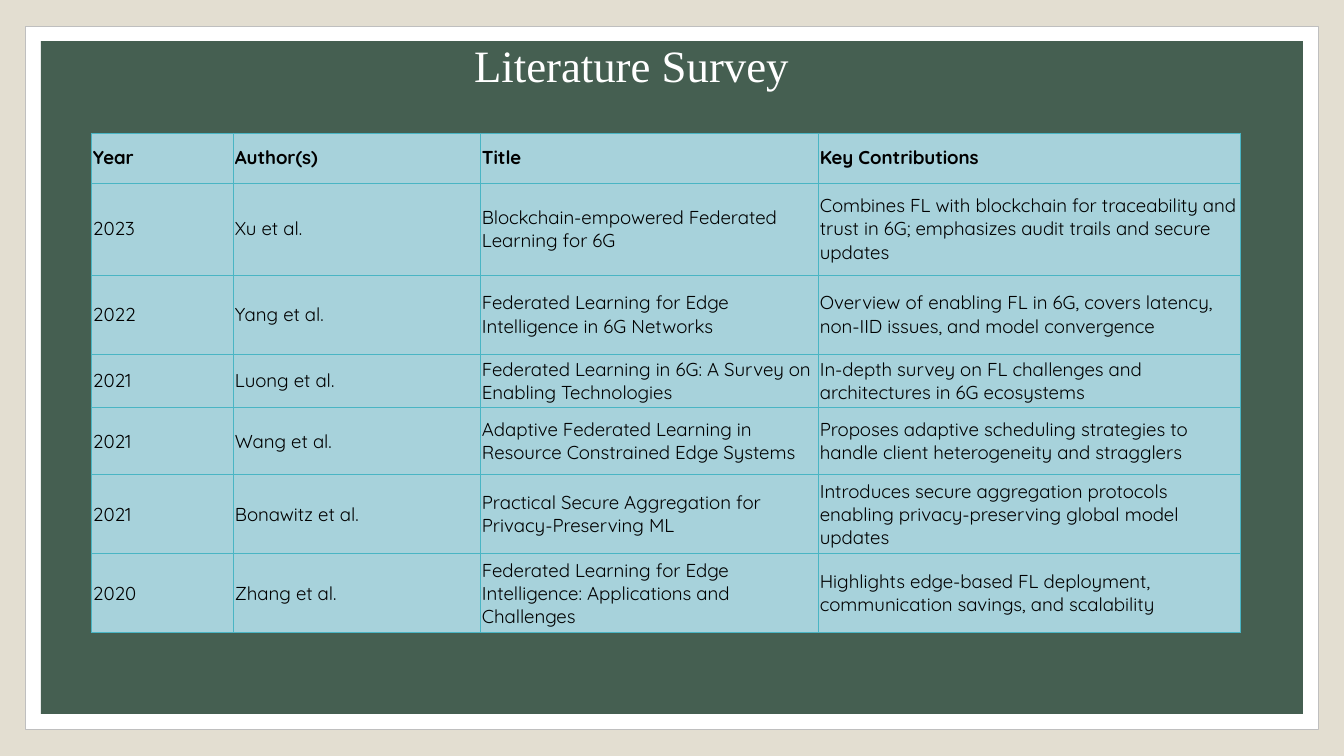
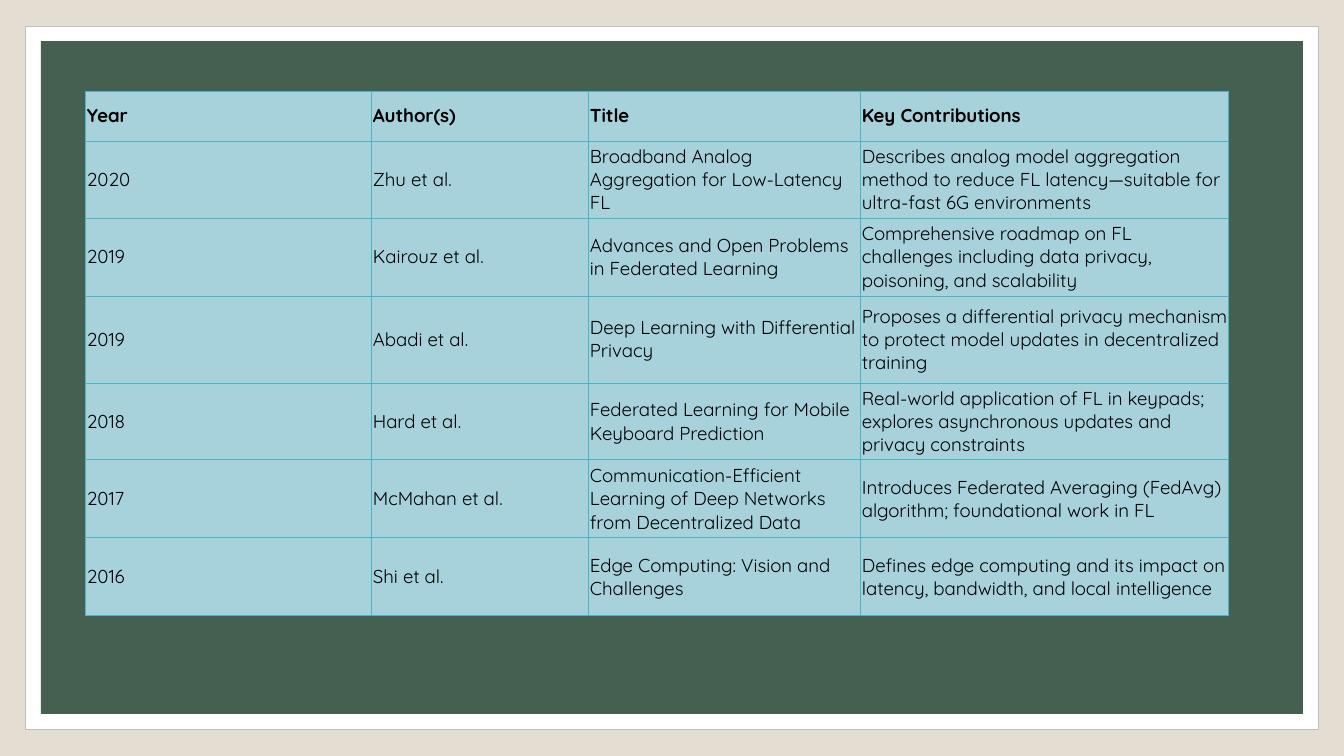
from lxml.etree import SubElement
from pptx import Presentation
from pptx.dml.color import RGBColor as RGB
from pptx.enum.shapes import MSO_SHAPE as SHAPE
from pptx.enum.text import MSO_ANCHOR as ANCHOR, PP_ALIGN as ALIGN
from pptx.oxml.ns import qn
from pptx.util import Pt

WIDTH, HEIGHT = 1344, 756
EMU_PER_PX = 9144000 / WIDTH

COLORS = {
    "backdrop": "E3DED1",
    "frame": "FFFFFF",
    "frame_line": "BFBFBF",
    "panel": "455F51",
    "title": "FFFFFF",
    "cell": "A7D2DB",
    "grid": "4AB5C4",
    "text": "000000",
}
TITLE_FONT, TABLE_FONT = "Times New Roman", "Quicksand"


def px(n):
    return round(n * EMU_PER_PX)


def color(name):
    return RGB.from_string(COLORS[name])


class Deck:
    """Holds the shared style and the current slide."""

    def __init__(self):
        self.prs = Presentation()
        self.prs.slide_width, self.prs.slide_height = px(WIDTH), px(HEIGHT)
        self.slide = None

    def new_slide(self):
        self.slide = self.prs.slides.add_slide(self.prs.slide_layouts[6])
        fill = self.slide.background.fill
        fill.solid()
        fill.fore_color.rgb = color("backdrop")
        self.rect(26, 27, 1293, 703, "frame", "frame_line")
        self.rect(41, 41, 1262, 673, "panel")

    def rect(self, x, y, w, h, fill, line=None):
        sp = self.slide.shapes.add_shape(SHAPE.RECTANGLE, px(x), px(y), px(w), px(h))
        sp.shadow.inherit = False
        sp.fill.solid()
        sp.fill.fore_color.rgb = color(fill)
        if line:
            sp.line.color.rgb = color(line)
            sp.line.width = Pt(0.5)
        else:
            sp.line.fill.background()

    def style(self, p, font, size, name, bold=False):
        for r in p.runs:
            r.font.name, r.font.size, r.font.bold = font, Pt(size), bold
            r.font.color.rgb = color(name)

    def title(self, text, x, y, w, h):
        tf = self.slide.shapes.add_textbox(px(x), px(y), px(w), px(h)).text_frame
        tf.word_wrap = True
        tf.vertical_anchor = ANCHOR.BOTTOM
        tf.margin_left = tf.margin_right = tf.margin_top = tf.margin_bottom = px(13)
        tf.text = text
        p = tf.paragraphs[0]
        p.alignment, p.line_spacing = ALIGN.CENTER, 0.9
        self.style(p, TITLE_FONT, 24, "title")

    def borders(self, cell):
        tcPr = cell._tc.get_or_add_tcPr()
        for side in ("a:lnL", "a:lnR", "a:lnT", "a:lnB"):
            ln = SubElement(tcPr, qn(side), w=str(Pt(0.5)))
            fill = SubElement(ln, qn("a:solidFill"))
            SubElement(fill, qn("a:srgbClr"), val=COLORS["grid"])

    def table(self, x, y, widths, heights, rows):
        tbl = self.slide.shapes.add_table(
            len(rows), len(widths), px(x), px(y), px(sum(widths)), px(sum(heights))
        ).table
        tbl.first_row = tbl.horz_banding = False
        for col, w in zip(tbl.columns, widths):
            col.width = px(w)
        for row, h in zip(tbl.rows, heights):
            row.height = px(h)
        for i, texts in enumerate(rows):
            for j, text in enumerate(texts):
                cell = tbl.cell(i, j)
                self.borders(cell)
                cell.fill.solid()
                cell.fill.fore_color.rgb = color("cell")
                cell.vertical_anchor = ANCHOR.MIDDLE
                cell.margin_left = cell.margin_right = px(2)
                cell.margin_top = cell.margin_bottom = px(1)
                cell.text_frame.text = text
                self.style(cell.text_frame.paragraphs[0], TABLE_FONT, 10, "text", bold=i == 0)


HEADER = ("Year", "Author(s)", "Title", "Key Contributions")

RECENT_PAPERS = [
    ("2023", "Xu et al.", "Blockchain-empowered Federated Learning for 6G",
     "Combines FL with blockchain for traceability and trust in 6G; "
     "emphasizes audit trails and secure updates"),
    ("2022", "Yang et al.", "Federated Learning for Edge Intelligence in 6G Networks",
     "Overview of enabling FL in 6G, covers latency, non-IID issues, and model convergence"),
    ("2021", "Luong et al.", "Federated Learning in 6G: A Survey on Enabling Technologies",
     "In-depth survey on FL challenges and architectures in 6G ecosystems"),
    ("2021", "Wang et al.", "Adaptive Federated Learning in Resource Constrained Edge Systems",
     "Proposes adaptive scheduling strategies to handle client heterogeneity and stragglers"),
    ("2021", "Bonawitz et al.", "Practical Secure Aggregation for Privacy-Preserving ML",
     "Introduces secure aggregation protocols enabling privacy-preserving global model updates"),
    ("2020", "Zhang et al.",
     "Federated Learning for Edge Intelligence: Applications and Challenges",
     "Highlights edge-based FL deployment, communication savings, and scalability"),
]

EARLIER_PAPERS = [
    ("2020", "Zhu et al.", "Broadband Analog Aggregation for Low-Latency FL",
     "Describes analog model aggregation method to reduce FL latency—suitable for "
     "ultra-fast 6G environments"),
    ("2019", "Kairouz et al.", "Advances and Open Problems in Federated Learning",
     "Comprehensive roadmap on FL challenges including data privacy, poisoning, and scalability"),
    ("2019", "Abadi et al.", "Deep Learning with Differential Privacy",
     "Proposes a differential privacy mechanism to protect model updates in "
     "decentralized training"),
    ("2018", "Hard et al.", "Federated Learning for Mobile Keyboard Prediction",
     "Real-world application of FL in keypads; explores asynchronous updates and "
     "privacy constraints"),
    ("2017", "McMahan et al.",
     "Communication-Efficient Learning of Deep Networks from Decentralized Data",
     "Introduces Federated Averaging (FedAvg) algorithm; foundational work in FL"),
    ("2016", "Shi et al.", "Edge Computing: Vision and Challenges",
     "Defines edge computing and its impact on latency, bandwidth, and local intelligence"),
]


def main():
    deck = Deck()

    # Literature survey, 2023 to 2020
    deck.new_slide()
    deck.title("Literature Survey", 259, 15, 745, 90)
    deck.table(91, 133, (142, 247, 338, 422), (50, 92, 79, 54, 67, 79, 79),
               [HEADER] + RECENT_PAPERS)

    # Literature survey, 2020 to 2016
    deck.new_slide()
    deck.table(85, 91, (286, 217, 272, 369), (50, 77, 78, 87, 77, 78, 78),
               [HEADER] + EARLIER_PAPERS)

    deck.prs.save("out.pptx")


if __name__ == "__main__":
    main()
